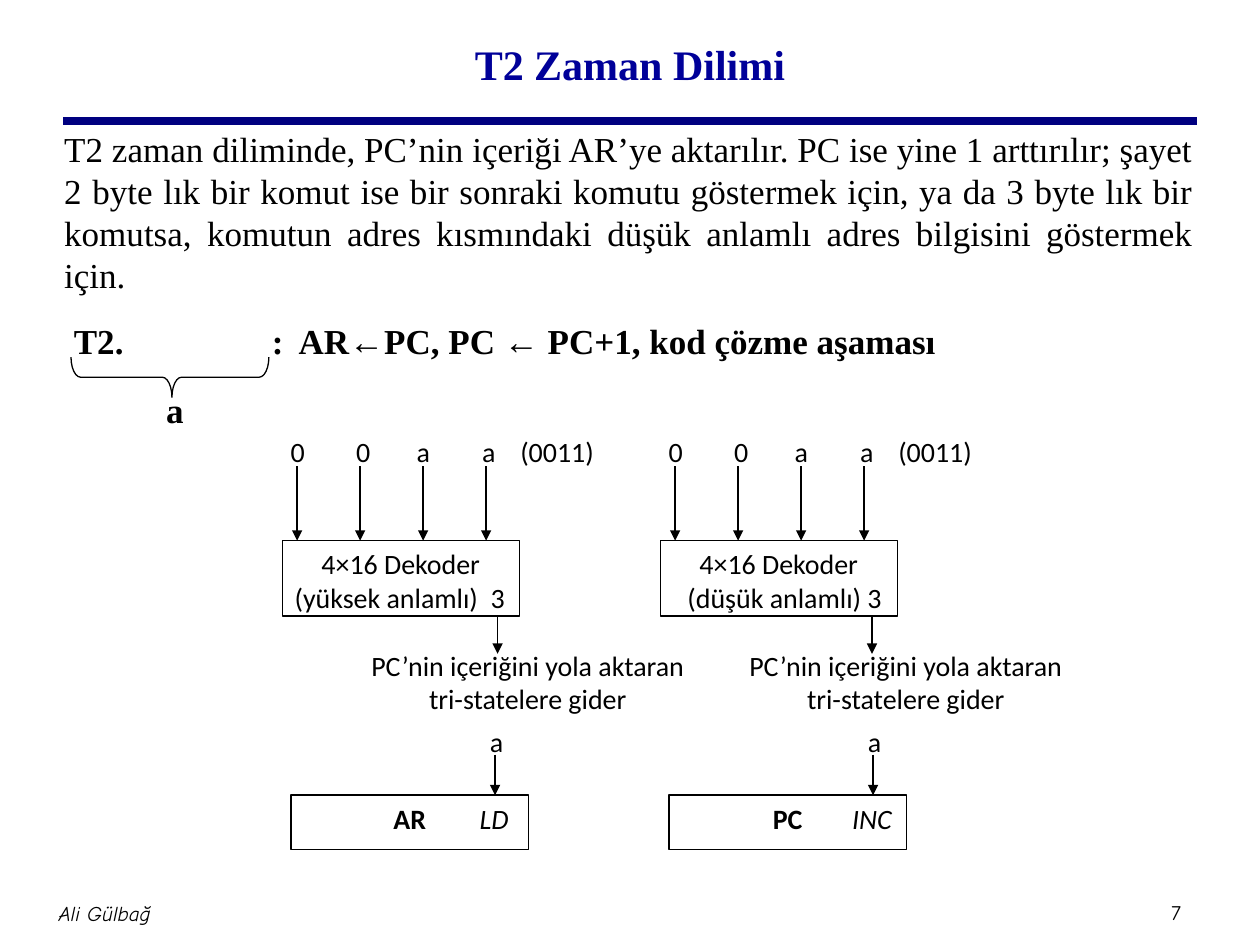
from lxml.etree import SubElement
from pptx import Presentation
from pptx.dml.color import RGBColor
from pptx.enum.shapes import MSO_CONNECTOR, MSO_SHAPE
from pptx.enum.text import MSO_ANCHOR, MSO_AUTO_SIZE, PP_ALIGN
from pptx.oxml.ns import qn
from pptx.util import Cm, Pt

BLACK = RGBColor(0, 0, 0)
WHITE = RGBColor(255, 255, 255)
NAVY = RGBColor(0, 0, 0x80)
TITLE_BLUE = RGBColor(0, 0, 0x99)
SERIF, SANS, COMIC = "Times New Roman", "Calibri", "Comic Neue"
LEFT, CENTER, JUSTIFY = PP_ALIGN.LEFT, PP_ALIGN.CENTER, PP_ALIGN.JUSTIFY

# Content
TITLE = "T2 Zaman Dilimi"
BODY = ("T2 zaman diliminde, PC’nin içeriği AR’ye aktarılır. PC ise yine 1 "
        "arttırılır; şayet 2 byte lık bir komut ise bir sonraki komutu göstermek "
        "için, ya da 3 byte lık bir komutsa, komutun adres kısmındaki düşük "
        "anlamlı adres bilgisini göstermek için.")
MICRO_OP = "T2.\t:\tAR←PC, PC ← PC+1, kod çözme aşaması"
SIGNAL = "a"
BITS = ["0", "0", "a", "a\t(0011)"]
DECODER = "4×16 Dekoder"
OUTPUT_NOTE = "PC’nin içeriğini yola aktaran tri-statelere gider"
# left edge, half of the address, its tab stop, output offset, register, control input
UNITS = [
    (5.69, "(yüksek anlamlı)\t3", 3.95, 4.34, "AR", "LD"),
    (13.31, "\t(düşük anlamlı) 3", 0.3, 4.27, "PC", "INC"),
]

# Layout, in cm
BIT_TEXT_OFFSETS = [0, 1.32, 2.54, 3.86]
BIT_STEP = 1.27
BIT_TOP, DECODER_TOP, DECODER_BOTTOM = 9.4, 10.9, 12.42
REGISTER_TOP = 16.03
BOX_WIDTH = 4.78

prs = Presentation()
prs.slide_width, prs.slide_height = Cm(25.4), Cm(19.05)
slide = prs.slides.add_slide(prs.slide_layouts[1])
shapes = slide.shapes


def place(shape, x, y, w, h):
    shape.left, shape.top, shape.width, shape.height = Cm(x), Cm(y), Cm(w), Cm(h)


def write(paragraph, text, size=16, font=SANS, color=BLACK, align=LEFT,
          bold=False, italic=False, tabs=()):
    if tabs:
        tab_list = SubElement(paragraph._p.get_or_add_pPr(), qn("a:tabLst"))
        for stop in tabs:
            SubElement(tab_list, qn("a:tab"), pos=str(Cm(stop)), algn="l")
    paragraph.alignment = align
    run = paragraph.add_run()
    run.text = text
    run.font.size, run.font.name = Pt(size), font
    run.font.bold, run.font.italic = bold, italic
    run.font.color.rgb = color


def add_label(text, x, y, w, h, anchor=MSO_ANCHOR.TOP, **style):
    frame = shapes.add_textbox(Cm(x), Cm(y), Cm(w), Cm(h)).text_frame
    frame.word_wrap = True
    frame.vertical_anchor = anchor
    write(frame.paragraphs[0], text, **style)


def add_outline(kind, x, y, w, h):
    shape = shapes.add_shape(kind, Cm(x), Cm(y), Cm(w), Cm(h))
    shape.shadow.inherit = False
    shape.fill.solid()
    shape.fill.fore_color.rgb = WHITE
    shape.line.color.rgb = BLACK
    shape.line.width = Pt(0.75)
    shape.text_frame.vertical_anchor = MSO_ANCHOR.TOP
    return shape


def add_line(x1, y1, x2, y2, color=BLACK, width=0.75, arrow=True):
    line = shapes.add_connector(MSO_CONNECTOR.STRAIGHT, Cm(x1), Cm(y1), Cm(x2), Cm(y2))
    line.line.color.rgb = color
    line.line.width = Pt(width)
    if arrow:
        SubElement(line.line._get_or_add_ln(), qn("a:tailEnd"), type="triangle")
    SubElement(line._element.spPr, qn("a:effectLst"))


# Rule and footer
add_line(1.27, 2.44, 24.13, 2.44, NAVY, 4.5, arrow=False)
add_label("7", 23.11, 18.01, 1.2, 0.76, MSO_ANCHOR.MIDDLE,
          size=12, font=COMIC, align=CENTER)
add_label("Ali Gülbağ", 0, 17.78, 4.22, 1.27, MSO_ANCHOR.MIDDLE,
          size=12, font=COMIC, align=CENTER, italic=True)

# Title and body
title, body = slide.placeholders
place(title, 1.9, 0.2, 21.6, 2.18)
title.text_frame.vertical_anchor = MSO_ANCHOR.MIDDLE
place(body, 1.04, 2.44, 23.27, 3.89)
for holder in (title, body):
    holder.text_frame.auto_size = MSO_AUTO_SIZE.NONE
write(title.text_frame.paragraphs[0], TITLE, 24, SERIF, TITLE_BLUE, CENTER, bold=True)
statement = body.text_frame.paragraphs[0]
properties = statement._p.get_or_add_pPr()
properties.set("marL", "0")
properties.set("indent", "0")
SubElement(properties, qn("a:buNone"))
statement.space_before = Pt(0)
write(statement, BODY, 20, SERIF, align=JUSTIFY)

# Decoder and register of each unit
for x, half, half_tab, output_offset, register, control in UNITS:
    decoder = add_outline(MSO_SHAPE.RECTANGLE, x, DECODER_TOP, BOX_WIDTH,
                          DECODER_BOTTOM - DECODER_TOP).text_frame
    write(decoder.paragraphs[0], DECODER, align=CENTER)
    write(decoder.add_paragraph(), half, tabs=[half_tab])

    for i, (bit, offset) in enumerate(zip(BITS, BIT_TEXT_OFFSETS)):
        arrow_x = x + 0.3 + i * BIT_STEP
        add_line(arrow_x, BIT_TOP, arrow_x, DECODER_TOP)
        has_value = "\t" in bit
        add_label(bit, x - 0.08 + offset, 8.63, 3.66 if has_value else 1.27, 1.14,
                  tabs=[0.77] if has_value else ())

    output_x = x + output_offset
    add_line(output_x, DECODER_BOTTOM, output_x, 13.18)
    add_label(OUTPUT_NOTE, x + 1.38, 12.94, 7.14, 1.88, align=CENTER)

    add_label(SIGNAL, x + 3.2, 14.48, 2.24, 1.14, align=CENTER)
    cell = add_outline(MSO_SHAPE.RECTANGLE, x + 0.18, REGISTER_TOP, BOX_WIDTH, 1.09)
    write(cell.text_frame.paragraphs[0], register, align=CENTER, bold=True)
    add_line(x + 4.29, 15.21, x + 4.29, REGISTER_TOP)
    add_label(control, x + 3.15, REGISTER_TOP, 2.24, 0.81, align=CENTER, italic=True)

# Micro-operation and its brace
add_label(MICRO_OP, 1.24, 6.32, 21.06, 1.12, size=20, font=SERIF, bold=True,
          tabs=[3.99, 4.53])
brace = add_outline(MSO_SHAPE.RIGHT_BRACE, 3.02, 5.61, 0.81, 3.99)
brace.rotation = 90
brace.adjustments[0], brace.adjustments[1] = 0.24, 0.49
add_label(SIGNAL, 3.1, 7.7, 0.86, 1.12, size=20, font=SERIF, bold=True)

prs.save("out.pptx")
